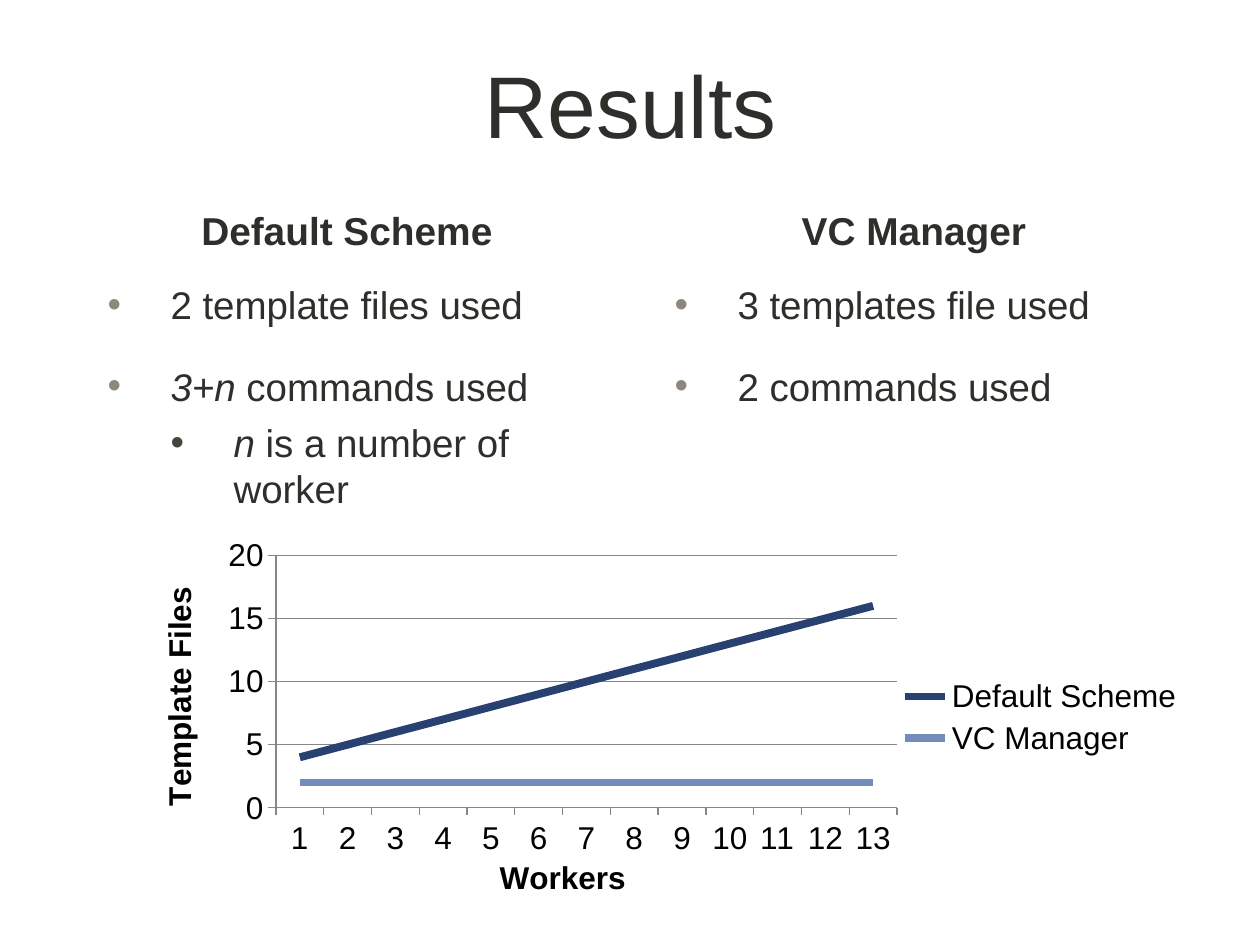
from lxml import etree
from pptx import Presentation
from pptx import util as u
from pptx.chart.data import CategoryChartData
from pptx.dml.color import RGBColor
from pptx.enum import chart as charts, text
from pptx.oxml import ns

SCALE = 914400 / 126
INK = "2D2F2B"
GRID = "868686"


def px(*lengths):
    return [u.Emu(round(length * SCALE)) for length in lengths]


def color(value):
    return RGBColor.from_string(value)


presentation = Presentation()
presentation.slide_width, presentation.slide_height = px(1260, 945)
slide = presentation.slides.add_slide(presentation.slide_layouts[4])
holders = {holder.placeholder_format.idx: holder for holder in slide.placeholders}

headings = [
    (0, "Results", 50, False, (95, 9, 1071, 189)),
    (1, "Default Scheme", 22.2, True, (95, 202, 504, 55)),
    (3, "VC Manager", 22.2, True, (662, 202, 504, 55)),
]
for index, words, size, bold, box in headings:
    shape = holders[index]
    shape.left, shape.top, shape.width, shape.height = px(*box)
    frame = shape.text_frame
    frame.text = words
    frame.auto_size = text.MSO_AUTO_SIZE.NONE
    frame.vertical_anchor = text.MSO_ANCHOR.MIDDLE
    paragraph = frame.paragraphs[0]
    paragraph.alignment = text.PP_ALIGN.CENTER
    paragraph.space_before = u.Pt(0)
    font = paragraph.font
    font.name, font.size, font.bold = "Arial", u.Pt(size), bold
    font.color.rgb = color(INK)

lists = [
    (2, 95, [(0, "", "2 template files used"), (0, "3+n", " commands used"),
             (1, "n", " is a number of worker")]),
    (4, 662, [(0, "", "3 templates file used"), (0, "", "2 commands used")]),
]
bullet_styles = [("8E887C", 20), ("47443E", 6)]
for index, left, items in lists:
    shape = holders[index]
    shape.left, shape.top, shape.width, shape.height = px(left, 275, 504, 238)
    frame = shape.text_frame
    frame.auto_size = text.MSO_AUTO_SIZE.NONE
    for number, (level, variable, words) in enumerate(items):
        paragraph = frame.add_paragraph() if number else frame.paragraphs[0]
        bullet_color, gap = bullet_styles[level]
        paragraph.level = level
        paragraph.space_before = u.Pt(gap if number else 0)
        properties = paragraph._p.get_or_add_pPr()
        properties.set("marL", str(u.Inches(0.5) * (level + 1)))
        properties.set("indent", str(-u.Inches(0.5)))
        bullet = etree.SubElement(properties, ns.qn("a:buClr"))
        etree.SubElement(bullet, ns.qn("a:srgbClr"), val=bullet_color)
        etree.SubElement(properties, ns.qn("a:buFont"), typeface="Arial")
        etree.SubElement(properties, ns.qn("a:buChar"), char="•")
        paragraph.font.name, paragraph.font.size = "Arial", u.Pt(22)
        paragraph.font.color.rgb = color(INK)
        if variable:
            run = paragraph.add_run()
            run.text = variable
            run.font.italic = True
        paragraph.add_run().text = words

workers = range(1, 14)
data = CategoryChartData()
data.categories = [str(worker) for worker in workers]
data.add_series("Default Scheme", [worker + 3 for worker in workers])
data.add_series("VC Manager", [2 for worker in workers])
chart = slide.shapes.add_chart(
    charts.XL_CHART_TYPE.LINE, *px(126, 529, 1071, 377), data).chart
chart.has_title = False
chart.font.name, chart.font.size = "Arial", u.Pt(18)
chart.font.color.rgb = color("000000")
chart.has_legend = True
chart.legend.position = charts.XL_LEGEND_POSITION.RIGHT
chart.legend.include_in_layout = False

for series, series_color in zip(chart.plots[0].series, ["294171", "748CBC"]):
    series.smooth = False
    series.format.line.width = u.Pt(4.5)
    series.format.line.color.rgb = color(series_color)

for axis, words in [(chart.category_axis, "Workers"), (chart.value_axis, "Template Files")]:
    axis.major_tick_mark = charts.XL_TICK_MARK.OUTSIDE
    axis.minor_tick_mark = charts.XL_TICK_MARK.NONE
    axis.format.line.color.rgb = color(GRID)
    axis.axis_title.text_frame.text = words
    font = axis.axis_title.text_frame.paragraphs[0].font
    font.name, font.size, font.bold = "Arial", u.Pt(18), True
    font.color.rgb = color("000000")

value_axis = chart.value_axis
value_axis.minimum_scale, value_axis.maximum_scale, value_axis.major_unit = 0, 20, 5
value_axis.has_major_gridlines = True
value_axis.major_gridlines.format.line.color.rgb = color(GRID)

plot_area = chart._chartSpace.chart.plotArea
for layout in plot_area.findall(ns.qn("c:layout")):
    plot_area.remove(layout)
layout = etree.Element(ns.qn("c:layout"))
manual = etree.SubElement(layout, ns.qn("c:manualLayout"))
for name, value in [("layoutTarget", "inner"), ("xMode", "edge"), ("yMode", "edge"),
                    ("x", 0.14), ("y", 0.07), ("w", 0.58), ("h", 0.67)]:
    etree.SubElement(manual, ns.qn("c:" + name), val=str(value))
plot_area.insert(0, layout)

presentation.save("out.pptx")
